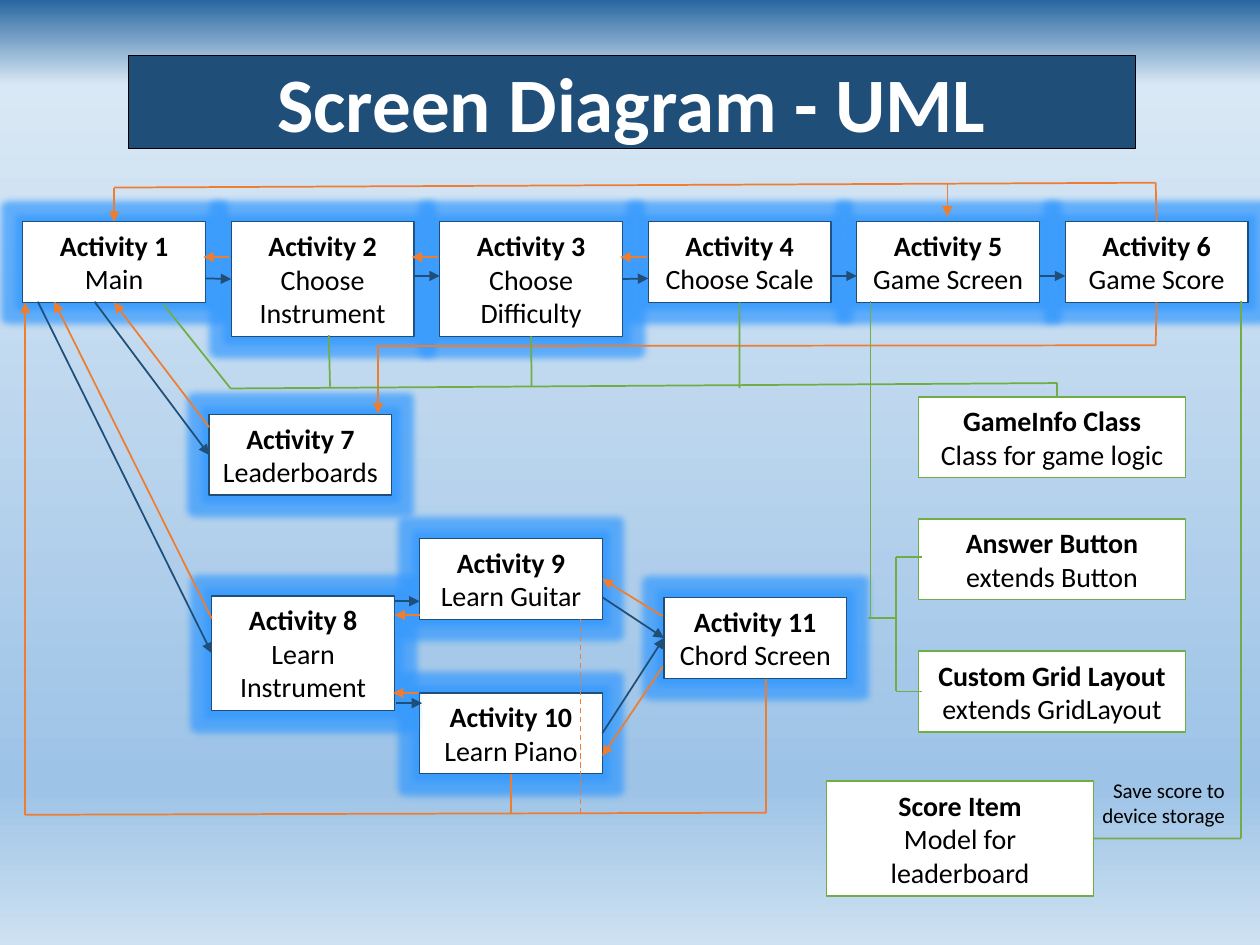
import pptx
import pptx.util
import pptx.dml.color
import pptx.enum.dml
import pptx.enum.shapes
import pptx.enum.text
import pptx.oxml.ns
from lxml import etree

Pt = pptx.util.Pt
qn = pptx.oxml.ns.qn

COLORS = {"navy": "1F4E79", "orange": "ED7D31", "green": "70AD47",
          "white": "FFFFFF", "black": "000000", "glow": "3399FF"}
BACKGROUND = [(0, "2967A0"), (9, "D9E8F5"), (83, "9DC3E6"), (100, "CEE1F2")]
FONT = "Calibri"

# Content
TITLE = "Screen Diagram - UML"
STORAGE_NOTE = "Save score to device storage"
LOW, TALL = 46.08, 65.5
ROW_LEFT, ROW_TOP, ROW_STEP = 13, 126.7, 119.15
ACTIVITY_WIDTH, CLASS_WIDTH = 104.4, 152.6

main_row = [("Activity 1", "Main", LOW), ("Activity 2", "Choose Instrument", TALL),
            ("Activity 3", "Choose Difficulty", TALL), ("Activity 4", "Choose Scale", LOW),
            ("Activity 5", "Game Screen", LOW), ("Activity 6", "Game Score", LOW)]
lower_activities = [  # heading, detail, left, top, height
    ("Activity 10", "Learn Piano", 239.8, 396, LOW),
    ("Activity 7", "Leaderboards", 119.5, 236.9, LOW),
    ("Activity 8", "Learn Instrument", 121, 340.5, TALL),
    ("Activity 9", "Learn Guitar", 239.8, 307.8, LOW),
    ("Activity 11", "Chord Screen", 379.4, 341.5, LOW)]
classes = [
    ("GameInfo Class", "Class for game logic", 524.9, 226.8, LOW),
    ("Answer Button", "extends Button", 524.9, 296.6, LOW),
    ("Custom Grid Layout", "extends GridLayout", 524.9, 372.2, LOW),
    ("Score Item", "Model for leaderboard", 472.3, 446.4, TALL)]

# Routes: colour, arrow at the end, corner points
routes = [
    ("navy", True, [(54, 172.4), (119.5, 259.9)]),
    ("navy", True, [(21.6, 172.4), (121, 373.2)]),
    ("navy", True, [(225.4, 343.6), (239.8, 343.6)]),
    ("navy", True, [(226.1, 401.8), (241.2, 401.8)]),
    ("navy", True, [(344.2, 341.3), (379.4, 364.5)]),
    ("navy", True, [(344.2, 419), (379.4, 364.5)]),
    ("orange", True, [(119.5, 244.1), (65.5, 174.2)]),
    ("orange", True, [(121, 353.5), (31, 172.4)]),
    ("orange", True, [(239.8, 351.4), (225.4, 351.4)]),
    ("orange", True, [(239, 396), (224.6, 396)]),
    ("orange", True, [(378.7, 380.9), (344.2, 432)]),
    ("orange", True, [(378.7, 352.1), (344.2, 330.8)]),
    ("orange", True, [(660.4, 126.7), (660.4, 104.4), (65.2, 107.2), (65.2, 126.7)]),
    ("orange", True, [(541.4, 104.6), (541.4, 123.8)]),
    ("orange", True, [(660.4, 172.8), (660.4, 197.3), (216, 197.8), (216, 236.2)]),
    ("orange", True, [(437.8, 388.1), (437.8, 464.4), (14.4, 465.6), (14.4, 172.8)]),
    ("orange", False, [(292, 442.1), (292, 465)]),
    ("green", False, [(93.6, 174.2), (131.8, 222), (604.2, 218.9), (604.2, 227.2)]),
    ("green", False, [(187.9, 191.5), (188.6, 221)]),
    ("green", False, [(303.5, 192.2), (303.8, 221)]),
    ("green", False, [(422.6, 172.8), (422.6, 221.8)]),
    ("green", False, [(497.5, 172.1), (497.5, 353.2)]),
    ("green", False, [(496.1, 353.2), (511.6, 353.2)]),
    ("green", False, [(527, 318.2), (511.9, 318.2), (511.9, 395.1), (527, 395.1)]),
    ("green", False, [(624.9, 479.1), (709.2, 479.1), (709.2, 172.1)])]

forward_heights = [159.1, 157.7, 159.1, 157.7, 157.7]
for i, y in enumerate(forward_heights):
    next_left = ROW_LEFT + (i + 1) * ROW_STEP
    routes.append(("navy", True, [(next_left - ROW_STEP + ACTIVITY_WIDTH, y), (next_left, y)]))
    if i < 3:
        routes.append(("orange", True, [(next_left - 1, 146.9), (next_left - 16, 146.9)]))


def rgb(name):
    return pptx.dml.color.RGBColor.from_string(COLORS[name])


def style_text(paragraph, size, color="black", bold=False,
               align=pptx.enum.text.PP_ALIGN.CENTER):
    paragraph.alignment = align
    for run in paragraph.runs:
        run.font.name, run.font.size = FONT, Pt(size)
        run.font.bold, run.font.color.rgb = bold, rgb(color)


def add_box(heading, detail, left, top, width, height, border, border_width):
    box = slide.shapes.add_shape(pptx.enum.shapes.MSO_SHAPE.RECTANGLE,
                                 Pt(left), Pt(top), Pt(width), Pt(height))
    box.shadow.inherit = False
    box.fill.solid()
    box.fill.fore_color.rgb = rgb("white")
    box.line.color.rgb, box.line.width = rgb(border), Pt(border_width)
    frame = box.text_frame
    frame.word_wrap = True
    frame.text = heading + "\n" + detail
    for paragraph, bold in zip(frame.paragraphs, (True, False)):
        style_text(paragraph, 16, bold=bold)
    middle, center = top + height / 2, left + width / 2
    for site, point in enumerate([(center, top), (left, middle),
                                  (center, top + height), (left + width, middle)]):
        sites.append((box, site, point))
    return box


def add_glow(box, radius):
    effects = box._element.spPr.find(qn("a:effectLst"))
    glow = etree.SubElement(effects, qn("a:glow"), rad=str(Pt(radius)))
    color = etree.SubElement(glow, qn("a:srgbClr"), val=COLORS["glow"])
    etree.SubElement(color, qn("a:alpha"), val="70000")


def join(connect, end):
    for box, site, point in sites:
        if max(abs(point[0] - end[0]), abs(point[1] - end[1])) < 1.5:
            connect(box, site)
            return


def add_line(start, end, color, arrow=False, width=1):
    line = slide.shapes.add_connector(pptx.enum.shapes.MSO_CONNECTOR.STRAIGHT,
                                      *[Pt(value) for value in start + end])
    join(line.begin_connect, start)
    join(line.end_connect, end)
    line.line.color.rgb, line.line.width = rgb(color), Pt(width)
    if arrow:
        etree.SubElement(line.line._get_or_add_ln(), qn("a:tailEnd"), type="triangle")
    etree.SubElement(line._element.spPr, qn("a:effectLst"))
    return line


deck = pptx.Presentation()
deck.slide_width, deck.slide_height = Pt(720), Pt(540)
slide = deck.slides.add_slide(deck.slide_layouts[5])
sites = []

# Background
backdrop = slide.background.fill
backdrop.gradient()
backdrop.gradient_angle = 270
stops = slide.element.find(".//" + qn("a:gsLst"))
for stop in list(stops):
    stops.remove(stop)
for position, color in BACKGROUND:
    stop = etree.SubElement(stops, qn("a:gs"), pos=str(position * 1000))
    etree.SubElement(stop, qn("a:srgbClr"), val=color)

# Title
title = slide.shapes.title
title.left, title.top, title.width, title.height = Pt(73.4), Pt(31.7), Pt(575.3), Pt(53.3)
title.fill.solid()
title.fill.fore_color.rgb = rgb("navy")
title.line.color.rgb, title.line.width = rgb("black"), Pt(0.4)
heading = title.text_frame
heading.text = TITLE
heading.auto_size = pptx.enum.text.MSO_AUTO_SIZE.NONE
heading.vertical_anchor = pptx.enum.text.MSO_ANCHOR.MIDDLE
heading.margin_left = heading.margin_right = heading.margin_top = heading.margin_bottom = 0
style_text(heading.paragraphs[0], 44, "white", bold=True)

# Activities and classes
activities = lower_activities[:1] + [
    (name, detail, ROW_LEFT + i * ROW_STEP, ROW_TOP, height)
    for i, (name, detail, height) in enumerate(main_row)] + lower_activities[1:]
for name, detail, left, top, height in activities:
    add_glow(add_box(name, detail, left, top, ACTIVITY_WIDTH, height, "navy", 0.75), 8)
for name, detail, left, top, height in classes:
    add_box(name, detail, left, top, CLASS_WIDTH, height, "green", 1)

# Connections
guitar_exit = add_line((331.9, 464.4), (331.9, 353.9), "orange", width=0.75)
guitar_exit.line.dash_style = pptx.enum.dml.MSO_LINE.DASH
for color, arrow, points in routes:
    for i, (start, end) in enumerate(zip(points, points[1:])):
        add_line(start, end, color, arrow and i == len(points) - 2)

# Storage note
storage = slide.shapes.add_textbox(Pt(618.5), Pt(440.6), Pt(88.6), Pt(36))
storage.text_frame.word_wrap = True
storage.text_frame.text = STORAGE_NOTE
style_text(storage.text_frame.paragraphs[0], 12, align=pptx.enum.text.PP_ALIGN.RIGHT)

deck.save("out.pptx")
